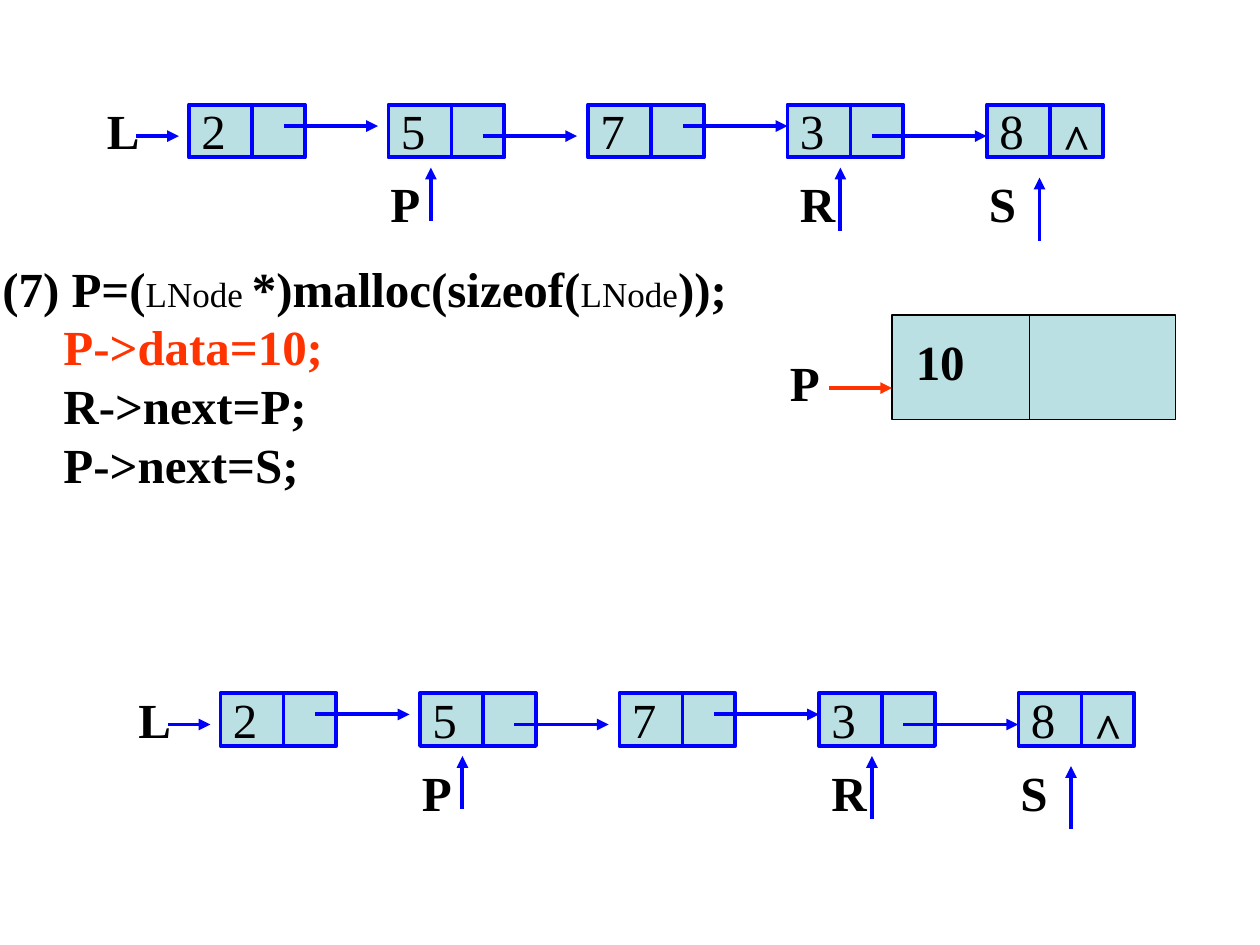
from dataclasses import dataclass

from lxml import etree
from pptx import Presentation
from pptx.dml.color import RGBColor
from pptx.enum.shapes import MSO_CONNECTOR, MSO_SHAPE
from pptx.enum.text import MSO_AUTO_SIZE
from pptx.oxml.ns import qn
from pptx.util import Inches, Pt

STRAIGHT = MSO_CONNECTOR.STRAIGHT
RECTANGLE = MSO_SHAPE.RECTANGLE
FIT_SHAPE = MSO_AUTO_SIZE.SHAPE_TO_FIT_TEXT


@dataclass(frozen=True)
class Theme:
    font: str = "Times New Roman"
    ink: str = "000000"
    link: str = "0000FF"
    accent: str = "FF3300"
    cell: str = "BBE0E3"
    text_size: float = 28
    type_size: float = 20
    thin: float = 0.75
    thick: float = 2.25


THEME = Theme()

# Linked list: measures are relative to the left top corner of the first node
NODE_VALUES = "25738"
NODE_PITCH = 19 / 12
NODE_WIDTH, NODE_HEIGHT = 0.92, 0.42
DATA_WIDTH = 0.5
LABEL_HEIGHT = 0.57
HIGH, LOW = 0.17, 0.25
LINKS = [  # start x, end x, y
    (-0.42, -0.08, LOW),
    (0.75, 1.5, HIGH),
    (2.33, 3.08, LOW),
    (3.92, 4.75, HIGH),
    (5.42, 6.33, LOW),
]
POINTERS = [  # name, label x, label width, arrow x, arrow bottom, arrow top
    ("P", 1.5, 1.17, 1.92, 0.92, 0.5),
    ("R", 4.75, 0.83, 5.17, 1, 0.5),
    ("S", 6.25, 0.75, 6.75, 1.08, 0.58),
]

CODE_LINES = [  # each line is a list of (text, format)
    [
        ("(7) P=(", {}),
        ("LNode ", {"size": THEME.type_size, "bold": False}),
        ("*)malloc(sizeof(", {}),
        ("LNode", {"size": THEME.type_size, "bold": False}),
        ("));", {}),
    ],
    [("     ", {}), ("P->data=10;", {"color": THEME.accent})],
    [("     R->next=P;", {})],
    [("     P->next=S;", {})],
]


def add_run(paragraph, text, size=THEME.text_size, color=THEME.ink, bold=True):
    run = paragraph.add_run()
    run.text = text
    run.font.name = THEME.font
    run.font.size = Pt(size)
    run.font.bold = bold
    run.font.color.rgb = RGBColor.from_string(color)


def add_text_frame(shapes, left, top, width, height, wrap=True):
    box = shapes.add_textbox(Inches(left), Inches(top), Inches(width), Inches(height))
    box.text_frame.word_wrap = wrap
    box.text_frame.auto_size = FIT_SHAPE
    return box.text_frame


def add_label(shapes, text, left, top, width, **text_format):
    frame = add_text_frame(shapes, left, top, width, LABEL_HEIGHT)
    add_run(frame.paragraphs[0], text, **text_format)


def add_box(shapes, left, top, width, height, color, weight):
    shape = shapes.add_shape(
        RECTANGLE, Inches(left), Inches(top), Inches(width), Inches(height)
    )
    shape.shadow.inherit = False
    shape.fill.solid()
    shape.fill.fore_color.rgb = RGBColor.from_string(THEME.cell)
    shape.line.color.rgb = RGBColor.from_string(color)
    shape.line.width = Pt(weight)


def add_line(shapes, start, end, color=THEME.link, weight=THEME.thick, arrow=False):
    points = [Inches(value) for value in (*start, *end)]
    connector = shapes.add_connector(STRAIGHT, *points)
    connector.line.color.rgb = RGBColor.from_string(color)
    connector.line.width = Pt(weight)
    if arrow:
        line = connector.line._get_or_add_ln()
        etree.SubElement(line, qn("a:tailEnd"), type="triangle")
    etree.SubElement(connector._element.spPr, qn("a:effectLst"))


def add_code(shapes):
    frame = add_text_frame(shapes, -0.08, 2, 6.95, 1.97, wrap=False)
    for index, code_line in enumerate(CODE_LINES):
        paragraph = frame.add_paragraph() if index else frame.paragraphs[0]
        properties = paragraph._p.get_or_add_pPr()
        properties.set("marL", str(Inches(0.5)))
        properties.set("indent", str(Inches(-0.5)))
        for text, text_format in code_line:
            add_run(paragraph, text, **text_format)


def add_new_node(shapes):
    left, top, height, divider = 7.08, 2.5, 0.83, 8.17
    add_box(shapes, left, top, 2.25, height, THEME.ink, THEME.thin)
    add_label(shapes, "P", 6.17, 2.75, 1.17)
    add_line(shapes, (6.58, 3.08), (left, 3.08), color=THEME.accent, arrow=True)
    add_label(shapes, "10", 7.17, 2.58, 1)
    add_line(
        shapes, (divider, top), (divider, top + height),
        color=THEME.ink, weight=THEME.thin,
    )


def add_linked_list(slide, left, top):
    shapes = slide.shapes.add_group_shape().shapes
    label_top = top - 0.08
    add_label(shapes, "L", left - 0.75, label_top, 0.5)

    # Nodes with a data part and a link part
    for index, value in enumerate(NODE_VALUES):
        node_left = left + index * NODE_PITCH
        divider = node_left + DATA_WIDTH
        add_box(
            shapes, node_left, top, NODE_WIDTH, NODE_HEIGHT, THEME.link, THEME.thick
        )
        add_line(shapes, (divider, top), (divider, top + NODE_HEIGHT))
        add_label(shapes, value, node_left, label_top, DATA_WIDTH, bold=False)
    add_label(shapes, "^", divider, top, NODE_WIDTH - DATA_WIDTH)

    # Links from node to node
    for start, end, y in LINKS:
        add_line(shapes, (left + start, top + y), (left + end, top + y), arrow=True)

    # Named pointers below the nodes
    for name, label_left, width, x, bottom, tip in POINTERS:
        add_label(shapes, name, left + label_left, top + 0.5, width)
        add_line(shapes, (left + x, top + bottom), (left + x, top + tip), arrow=True)


def main():
    presentation = Presentation()
    presentation.slide_width = Inches(10)
    presentation.slide_height = Inches(7.5)
    slide = presentation.slides.add_slide(presentation.slide_layouts[6])

    add_code(slide.shapes)
    add_new_node(slide.shapes)
    add_linked_list(slide, 1.5, 0.83)
    add_linked_list(slide, 1.75, 5.5)

    presentation.save("out.pptx")


if __name__ == "__main__":
    main()
